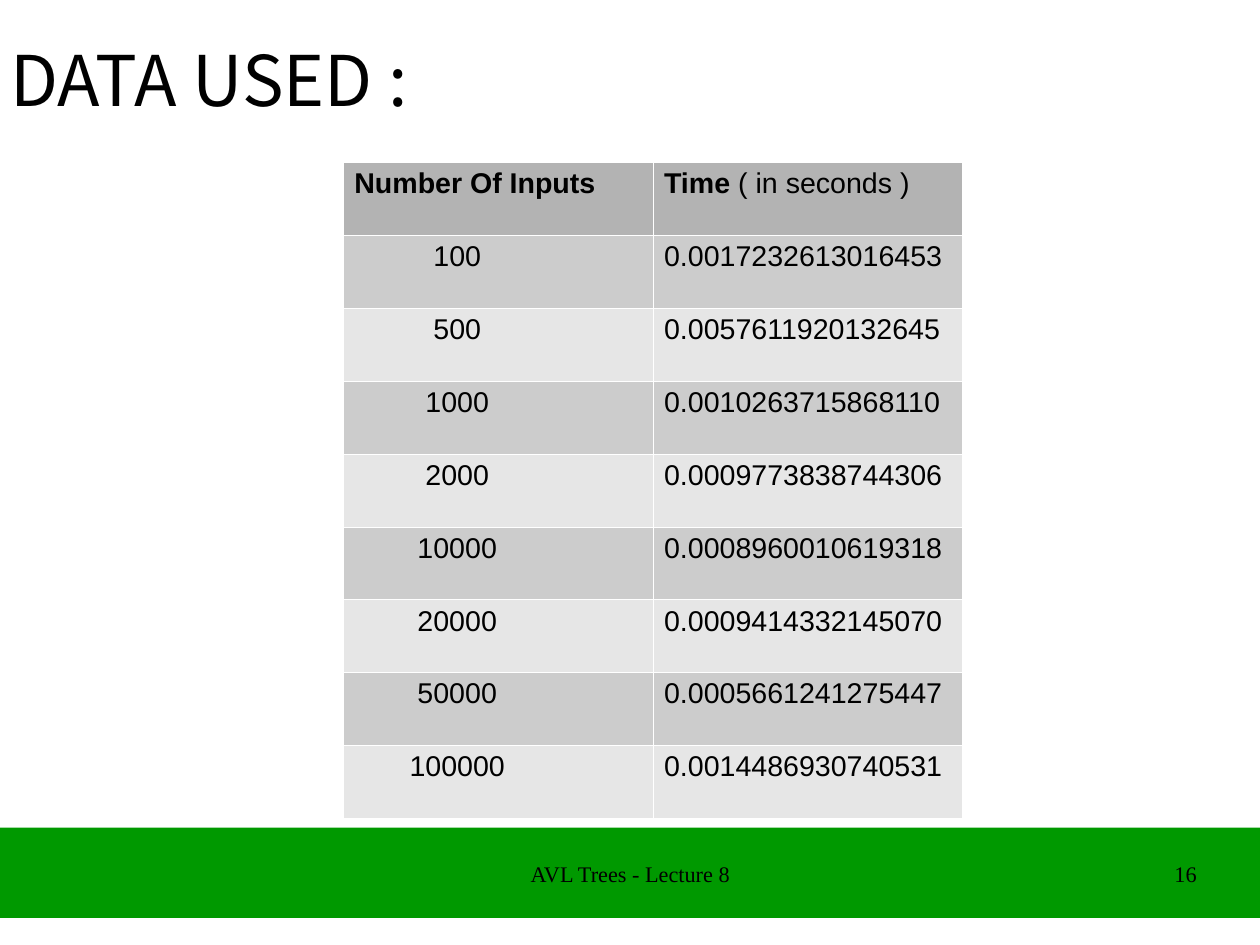
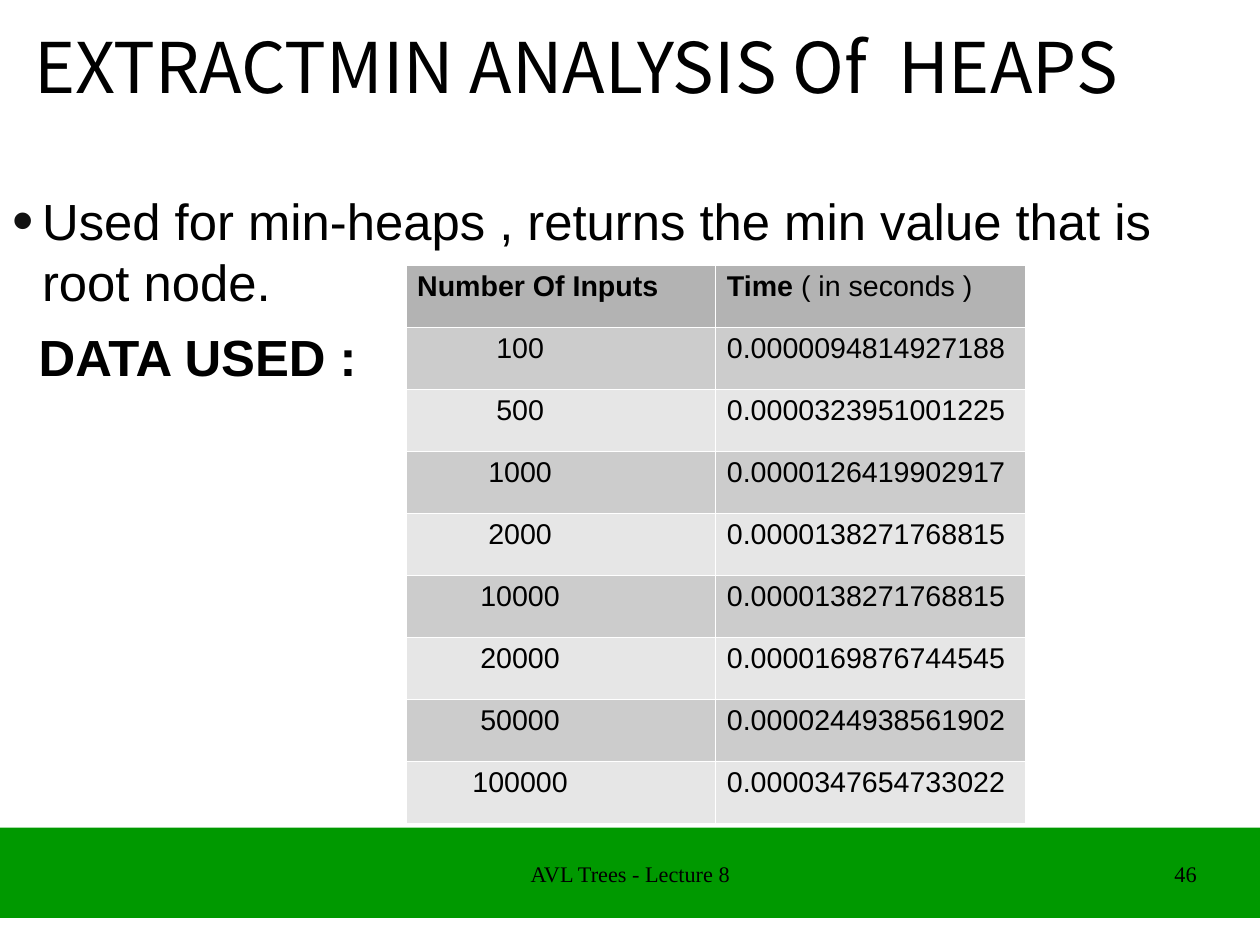
from dataclasses import dataclass

from lxml import etree
from pptx import Presentation
from pptx.dml.color import RGBColor as RGB
from pptx.enum.shapes import MSO_SHAPE as SHAPE
from pptx.enum.text import PP_ALIGN as ALIGN
from pptx.oxml.ns import qn
from pptx.util import Inches, Pt


@dataclass(frozen=True)
class Theme:
    text: str = "000000"
    band: str = "009900"
    bullet: str = "111111"
    header: str = "B3B3B3"
    stripes: tuple = ("CCCCCC", "E6E6E6")
    border: str = "FFFFFF"
    title_font: str = "Noto Sans CJK SC"
    body_font: str = "Arial"
    footer_font: str = "Times New Roman"
    title_size: int = 44
    body_size: int = 32
    table_size: int = 18
    footer_size: int = 14


THEME = Theme()
CM_PER_INCH = 2.54
WIDTH, HEIGHT = 28 / CM_PER_INCH, 21 / CM_PER_INCH
FOOTER = "AVL Trees - Lecture 8"
INPUTS = ("100", "500", "1000", "2000", "10000", "20000", "50000", "100000")
FIRST_TIMES = (
    "0.0017232613016453", "0.0057611920132645", "0.0010263715868110",
    "0.0009773838744306", "0.0008960010619318", "0.0009414332145070",
    "0.0005661241275447", "0.0014486930740531",
)
EXTRACT_MIN_TIMES = (
    "0.0000094814927188", "0.0000323951001225", "0.0000126419902917",
    "0.0000138271768815", "0.0000138271768815", "0.0000169876744545",
    "0.0000244938561902", "0.0000347654733022",
)


def add_run(p, text, *, font=THEME.body_font, size=THEME.body_size, bold=False):
    r = p.add_run()
    r.text = text
    r.font.name = font
    r.font.size = Pt(size)
    r.font.bold = bold
    r.font.color.rgb = RGB.from_string(THEME.text)


def add_text(slide, text, box, *, align=ALIGN.LEFT, margins=(0.1, 0.05), **style):
    """Add a one-paragraph text box and return its paragraph."""
    tf = slide.shapes.add_textbox(*map(Inches, box)).text_frame
    tf.word_wrap = True
    tf.margin_left = tf.margin_right = Inches(margins[0])
    tf.margin_top = tf.margin_bottom = Inches(margins[1])
    p = tf.paragraphs[0]
    p.alignment = align
    add_run(p, text, **style)
    return p


def add_bullet(p, indent):
    pPr = p._p.get_or_add_pPr()
    pPr.set("marL", str(Inches(indent)))
    pPr.set("indent", str(-Inches(indent)))
    color = etree.SubElement(pPr, qn("a:buClr"))
    etree.SubElement(color, qn("a:srgbClr"), val=THEME.bullet)
    etree.SubElement(pPr, qn("a:buSzPct"), val="120000")
    etree.SubElement(pPr, qn("a:buFont"), typeface=THEME.body_font)
    etree.SubElement(pPr, qn("a:buChar"), char="•")


def add_title(slide, text, left, top):
    add_text(slide, text, (left, top, WIDTH - left, 1.01),
             font=THEME.title_font, size=THEME.title_size)


def add_band(slide):
    sp = slide.shapes.add_shape(SHAPE.RECTANGLE, 0, Inches(7.24),
                                Inches(WIDTH), Inches(0.79))
    sp.shadow.inherit = False
    sp.fill.solid()
    sp.fill.fore_color.rgb = RGB.from_string(THEME.band)
    sp.line.fill.background()


def add_footer(slide, number):
    for text, left, width, align in ((FOOTER, 3.77, 3.49, ALIGN.CENTER),
                                     (number, 7.9, 2.57, ALIGN.RIGHT)):
        add_text(slide, text, (left, 7.53, width, 0.57), align=align,
                 margins=(0, 0), font=THEME.footer_font,
                 size=THEME.footer_size)


def style_cell(cell, fill):
    tcPr = cell._tc.get_or_add_tcPr()
    for side in ("lnL", "lnR", "lnT", "lnB"):
        ln = etree.SubElement(tcPr, qn(f"a:{side}"), w=str(Pt(0.06)))
        solid = etree.SubElement(ln, qn("a:solidFill"))
        etree.SubElement(solid, qn("a:srgbClr"), val=THEME.border)
    cell.fill.solid()
    cell.fill.fore_color.rgb = RGB.from_string(fill)


def add_timing_table(slide, times, left, top, height):
    """Add a striped table that pairs each input count with its time."""
    size = THEME.table_size
    table = slide.shapes.add_table(len(times) + 1, 2, Inches(left), Inches(top),
                                   Inches(5.42), Inches(height)).table
    table.first_row = table.horz_banding = False
    for cell in table.iter_cells():
        cell.margin_left = cell.margin_right = Inches(0.1)
        cell.margin_top = cell.margin_bottom = Inches(0.05)
    for col, title in enumerate(("Number Of Inputs", "Time")):
        cell = table.cell(0, col)
        style_cell(cell, THEME.header)
        add_run(cell.text_frame.paragraphs[0], title, size=size, bold=True)
    add_run(table.cell(0, 1).text_frame.paragraphs[0], " ( in seconds )", size=size)
    for row, values in enumerate(zip(INPUTS, times), 1):
        for col, value in enumerate(values):
            cell = table.cell(row, col)
            style_cell(cell, THEME.stripes[(row - 1) % 2])
            add_run(cell.text_frame.paragraphs[0], value, size=size)
        count = table.cell(row, 0)
        count.margin_right = Inches(0.81)
        count.text_frame.paragraphs[0].alignment = ALIGN.CENTER


def add_slide(prs):
    slide = prs.slides.add_slide(prs.slide_layouts[6])
    add_band(slide)
    return slide


def build_data_slide(prs):
    slide = add_slide(prs)
    add_timing_table(slide, FIRST_TIMES, 3, 1.42, 5.74)
    add_title(slide, "DATA USED :", -0.01, 0.27)
    add_footer(slide, "16")


def build_extract_min_slide(prs):
    slide = add_slide(prs)
    add_title(slide, "EXTRACTMIN ANALYSIS Of  HEAPS", 0.2, 0.16)
    p = add_text(slide, "Used for min-heaps , returns the min value that is root node.",
                 (0.01, 1.61, 10.32, 1.1))
    add_bullet(p, 0.26)
    add_text(slide, "DATA USED :", (0.24, 2.8, 3.2, 0.6), bold=True)
    add_timing_table(slide, EXTRACT_MIN_TIMES, 3.55, 2.32, 4.88)
    add_footer(slide, "46")


def main():
    prs = Presentation()
    prs.slide_width, prs.slide_height = Inches(WIDTH), Inches(HEIGHT)
    build_data_slide(prs)
    build_extract_min_slide(prs)
    prs.save("out.pptx")


if __name__ == "__main__":
    main()
